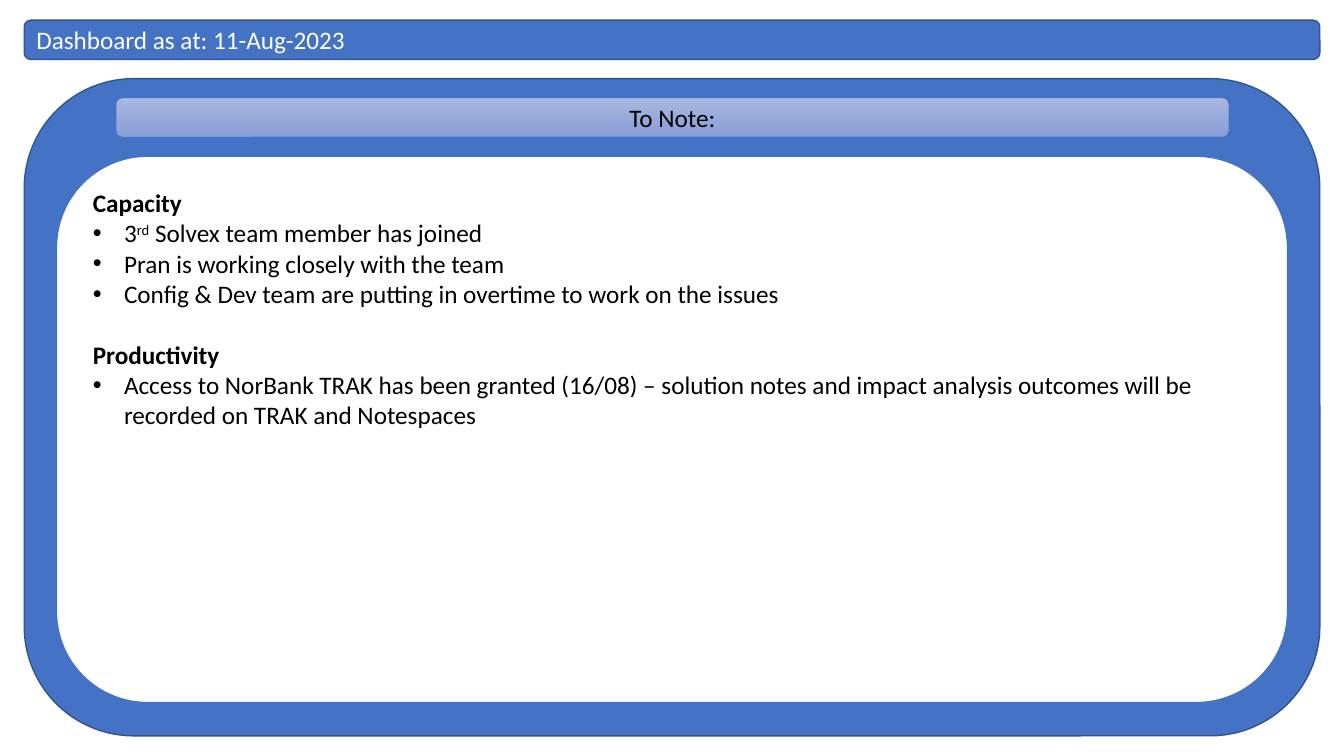
import pptx
import pptx.dml.color
import pptx.enum.shapes
import pptx.enum.text
import pptx.oxml
import pptx.oxml.ns
import pptx.util

Inches = pptx.util.Inches
Pt = pptx.util.Pt
RGBColor = pptx.dml.color.RGBColor
PP_ALIGN = pptx.enum.text.PP_ALIGN
MSO_ANCHOR = pptx.enum.text.MSO_ANCHOR

BLUE = RGBColor(0x44, 0x72, 0xC4)
DARK_BLUE = RGBColor(0x32, 0x54, 0x91)
LIGHT_TOP = RGBColor(0xA8, 0xB7, 0xDF)
LIGHT_BOTTOM = RGBColor(0x88, 0x9E, 0xD7)
WHITE = RGBColor(0xFF, 0xFF, 0xFF)
BLACK = RGBColor(0x00, 0x00, 0x00)

NOTES = [
    ("Capacity", [
        ["3", "rd", " Solvex team member has joined"],
        ["Pran is working closely with the team"],
        ["Config & Dev team are putting in overtime to work on the issues"],
    ]),
    ("Productivity", [
        ["Access to NorBank TRAK has been granted (16/08) – solution notes and "
         "impact analysis outcomes will be recorded on TRAK and Notespaces"],
    ]),
]


def add_panel(left, top, width, height, fill_color, line_color, line_width):
    shape = slide.shapes.add_shape(
        pptx.enum.shapes.MSO_SHAPE.ROUNDED_RECTANGLE,
        Inches(left), Inches(top), Inches(width), Inches(height))
    shape.shadow.inherit = False
    shape.fill.solid()
    shape.fill.fore_color.rgb = fill_color
    shape.line.color.rgb = line_color
    shape.line.width = Pt(line_width)
    return shape


def format_run(run, color, bold=False):
    run.font.name = "Calibri"
    run.font.size = Pt(18)
    run.font.bold = bold
    run.font.color.rgb = color


presentation = pptx.Presentation()
presentation.slide_width = Inches(13.33)
presentation.slide_height = Inches(7.5)
slide = presentation.slides.add_slide(presentation.slide_layouts[1])

add_panel(0.24, 0.2, 12.85, 0.39, BLUE, DARK_BLUE, 1)
add_panel(0.24, 0.78, 12.85, 6.52, BLUE, DARK_BLUE, 1)
note_banner = add_panel(1.15, 0.97, 11.04, 0.39, LIGHT_TOP, BLUE, 0.5)
add_panel(0.56, 1.55, 12.21, 5.42, WHITE, BLUE, 1)

note_banner.fill.gradient()
note_banner.fill.gradient_angle = 270
for stop, color in zip(note_banner.fill.gradient_stops, (LIGHT_TOP, LIGHT_BOTTOM)):
    stop.color.rgb = color
note_banner.text_frame.text = "To Note:"
note_banner.text_frame.vertical_anchor = MSO_ANCHOR.MIDDLE
banner_paragraph = note_banner.text_frame.paragraphs[0]
banner_paragraph.alignment = PP_ALIGN.CENTER
format_run(banner_paragraph.runs[0], BLACK)

title = slide.shapes.title
body = slide.placeholders[1]
for placeholder, left, top, width, height, anchor in (
        (title, 0.26, 0.2, 12.81, 0.39, MSO_ANCHOR.MIDDLE),
        (body, 0.82, 1.81, 11.68, 4.89, MSO_ANCHOR.TOP)):
    placeholder.left, placeholder.top = Inches(left), Inches(top)
    placeholder.width, placeholder.height = Inches(width), Inches(height)
    placeholder.text_frame.word_wrap = True
    placeholder.text_frame.auto_size = pptx.enum.text.MSO_AUTO_SIZE.NONE
    placeholder.text_frame.vertical_anchor = anchor
    placeholder.element.getparent().append(placeholder.element)

title.text_frame.text = "Dashboard as at: 11-Aug-2023"
title.text_frame.paragraphs[0].alignment = PP_ALIGN.LEFT
format_run(title.text_frame.paragraphs[0].runs[0], WHITE)

lines = []
for heading, items in NOTES:
    lines.append(([heading], True))
    lines.extend((item, False) for item in items)

for index, (parts, is_heading) in enumerate(lines):
    paragraph = body.text_frame.paragraphs[0] if index == 0 else body.text_frame.add_paragraph()
    paragraph.line_spacing = 1.0
    paragraph.space_before = Pt(22 if is_heading and index else 0)
    indent = 0 if is_heading else Inches(0.31)
    properties = paragraph._p.get_or_add_pPr()
    properties.set("marL", str(indent))
    properties.set("indent", str(-indent))
    bullet = "<a:buNone %s/>" if is_heading else '<a:buChar %s char="•"/>'
    properties.append(pptx.oxml.parse_xml(bullet % pptx.oxml.ns.nsdecls("a")))
    for part in parts:
        run = paragraph.add_run()
        run.text = part
        format_run(run, BLACK, is_heading)
        if part == "rd":
            run._r.get_or_add_rPr().set("baseline", "30000")

presentation.save("out.pptx")
